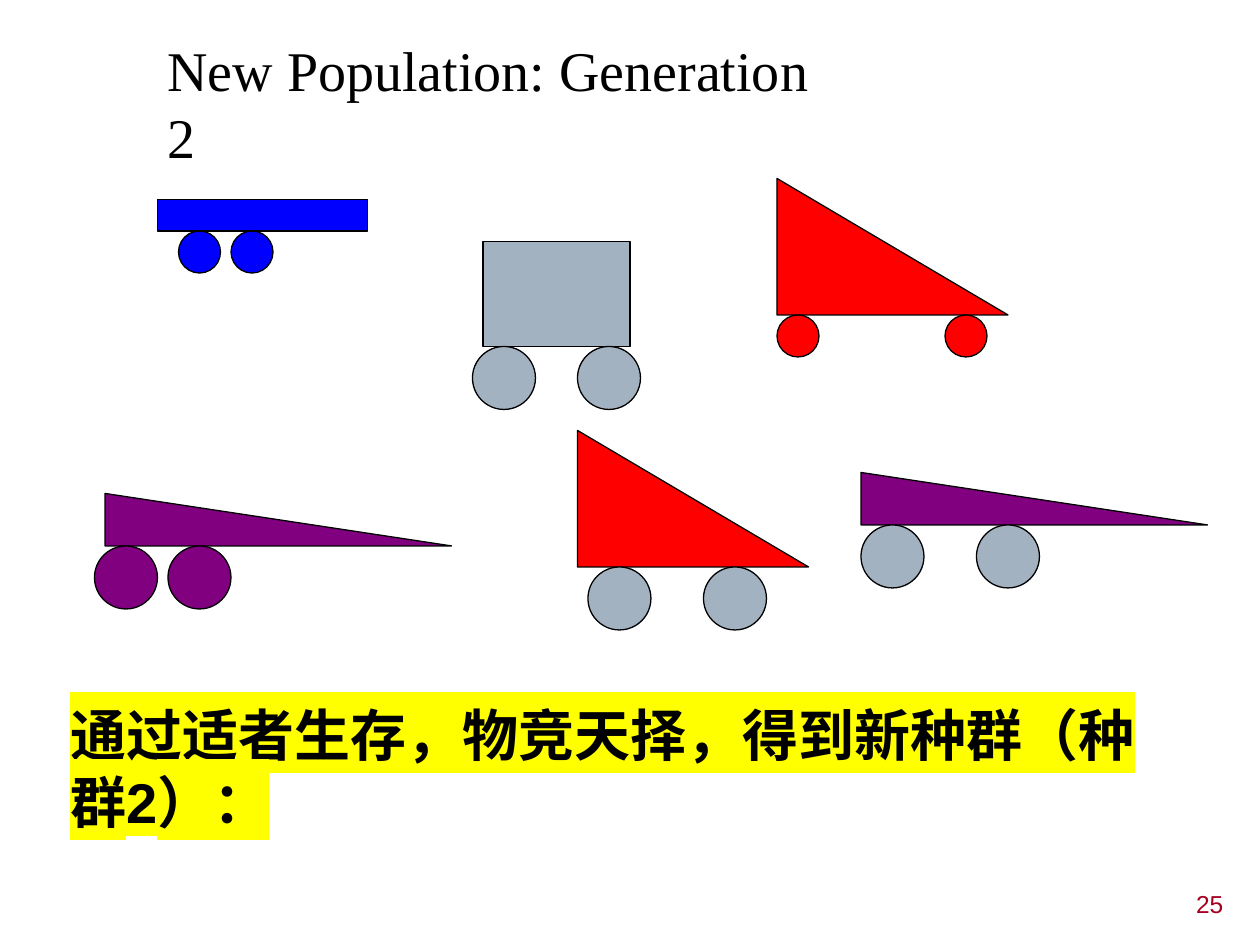
from lxml.etree import SubElement
from pptx import Presentation
from pptx.dml.color import RGBColor
from pptx.enum.shapes import MSO_SHAPE as Shape
from pptx.enum.text import MSO_ANCHOR as Anchor, PP_ALIGN as Align
from pptx.oxml.ns import qn
from pptx.util import Pt

# Content
COLORS = {"black": "000000", "blue": "0000FF", "gray": "A3B2C1", "red": "FF0000",
          "purple": "800080", "yellow": "FFFF00", "crimson": "A50021"}
TITLE = "New Population: Generation 2"
CAPTION = "通过适者生存，物竞天择，得到新种群（种群2）："
PAGE = "25"
BOX, WEDGE = Shape.RECTANGLE, Shape.RIGHT_TRIANGLE
# body shape, body colour, (left, top, width, height), wheel colour, wheel size, wheel lefts
CARS = [
    (BOX, "blue", (90, 114, 120, 18), "blue", 24, (102, 132)),
    (BOX, "gray", (276, 138, 84, 60), "gray", 36, (270, 330)),
    (WEDGE, "red", (444, 102, 132, 78), "red", 24, (444, 540)),
    (WEDGE, "purple", (60, 282, 198, 30), "purple", 36, (54, 96)),
    (WEDGE, "red", (330, 246, 132, 78), "gray", 36, (336, 402)),
    (WEDGE, "purple", (492, 270, 198, 30), "gray", 36, (492, 558)),
]


def rgb(name):
    return RGBColor.from_string(COLORS[name])


def place(sp, left, top, width, height):
    sp.left, sp.top, sp.width, sp.height = map(Pt, (left, top, width, height))


def add_part(kind, color, left, top, width, height):
    sp = slide.shapes.add_shape(kind, Pt(left), Pt(top), Pt(width), Pt(height))
    sp.shadow.inherit = False
    sp.fill.solid()
    sp.fill.fore_color.rgb = rgb(color)
    sp.line.color.rgb = rgb("black")
    sp.line.width = Pt(0.75)


def write(sp, text, size, font, color, align=Align.LEFT, bold=False):
    tf = sp.text_frame
    tf.word_wrap = True
    tf.vertical_anchor = Anchor.TOP
    tf.margin_left = tf.margin_right = Pt(7.2)
    tf.margin_top = tf.margin_bottom = Pt(3.6)
    p = tf.paragraphs[0]
    p.alignment = align
    r = p.add_run()
    r.text = text
    r.font.size, r.font.name, r.font.bold = Pt(size), font, bold
    r.font.color.rgb = rgb(color)
    return p, r


def highlight(r, color):
    mark = SubElement(r.font._element, qn("a:highlight"))
    SubElement(mark, qn("a:srgbClr")).set("val", COLORS[color])
    r.font._element.find(qn("a:solidFill")).addnext(mark)


prs = Presentation()
prs.slide_width, prs.slide_height = Pt(720), Pt(540)
slide = prs.slides.add_slide(prs.slide_layouts[5])

# Title
title = slide.shapes.title
place(title, 88.5, 14.4, 403, 85)
p, r = write(title, TITLE, 32, "Times New Roman", "black")
p.line_spacing = Pt(38.3)
title.text_frame.margin_top = Pt(6)

# Cars: the wheels hang from the bottom of the body
for kind, color, body, wheel_color, size, wheel_lefts in CARS:
    add_part(kind, color, *body)
    for left in wheel_lefts:
        add_part(Shape.OVAL, wheel_color, left, body[1] + body[3], size, size)

# Caption
caption = slide.shapes.add_textbox(Pt(33), Pt(396.7), Pt(654.5), Pt(85))
p, r = write(caption, CAPTION, 32, "Arial", "black", bold=True)
highlight(r, "yellow")

# Page number
page = slide.shapes.add_textbox(Pt(550), Pt(504.7), Pt(156.2), Pt(28))
write(page, PAGE, 14, "Arial", "crimson", Align.RIGHT)

prs.save("out.pptx")
